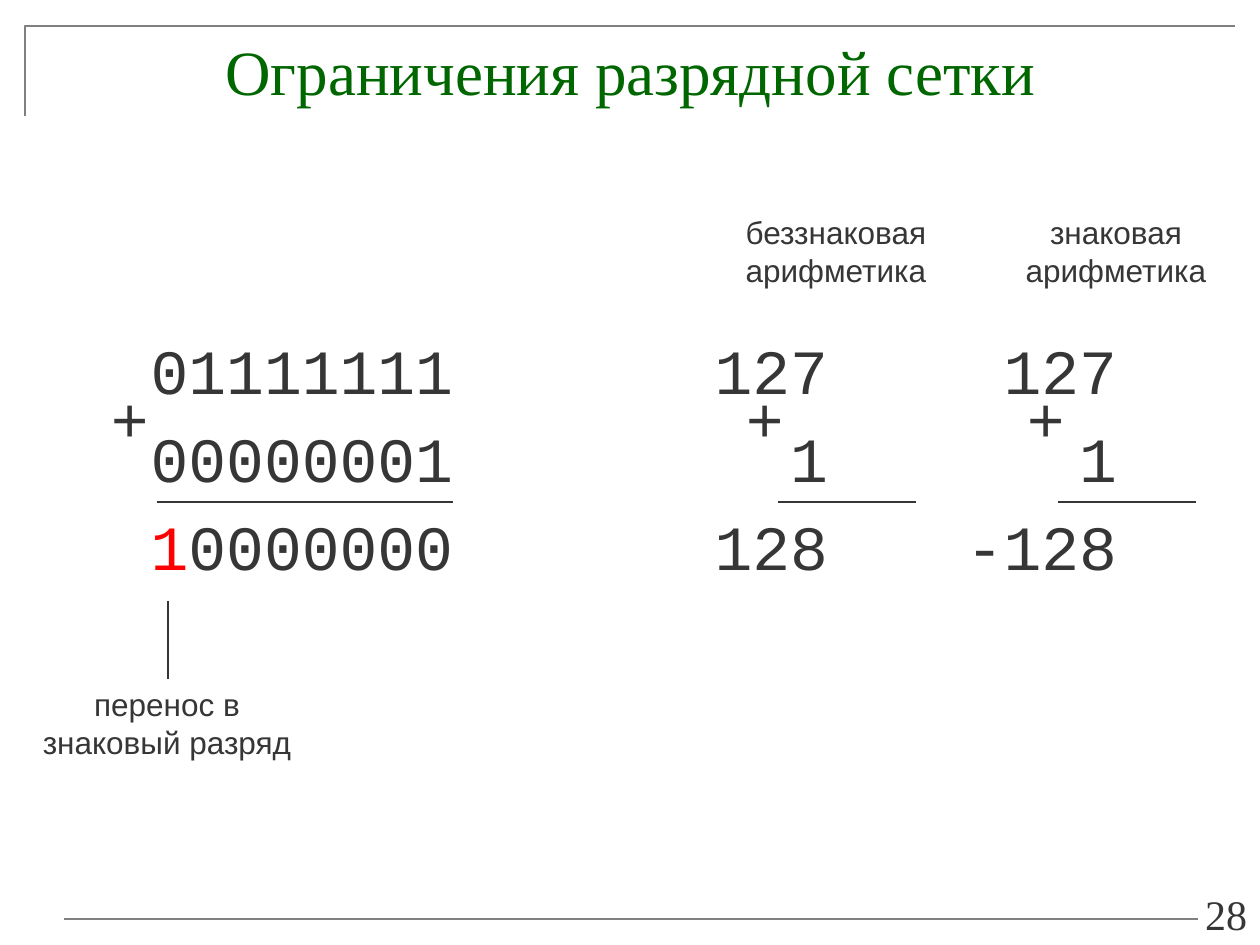
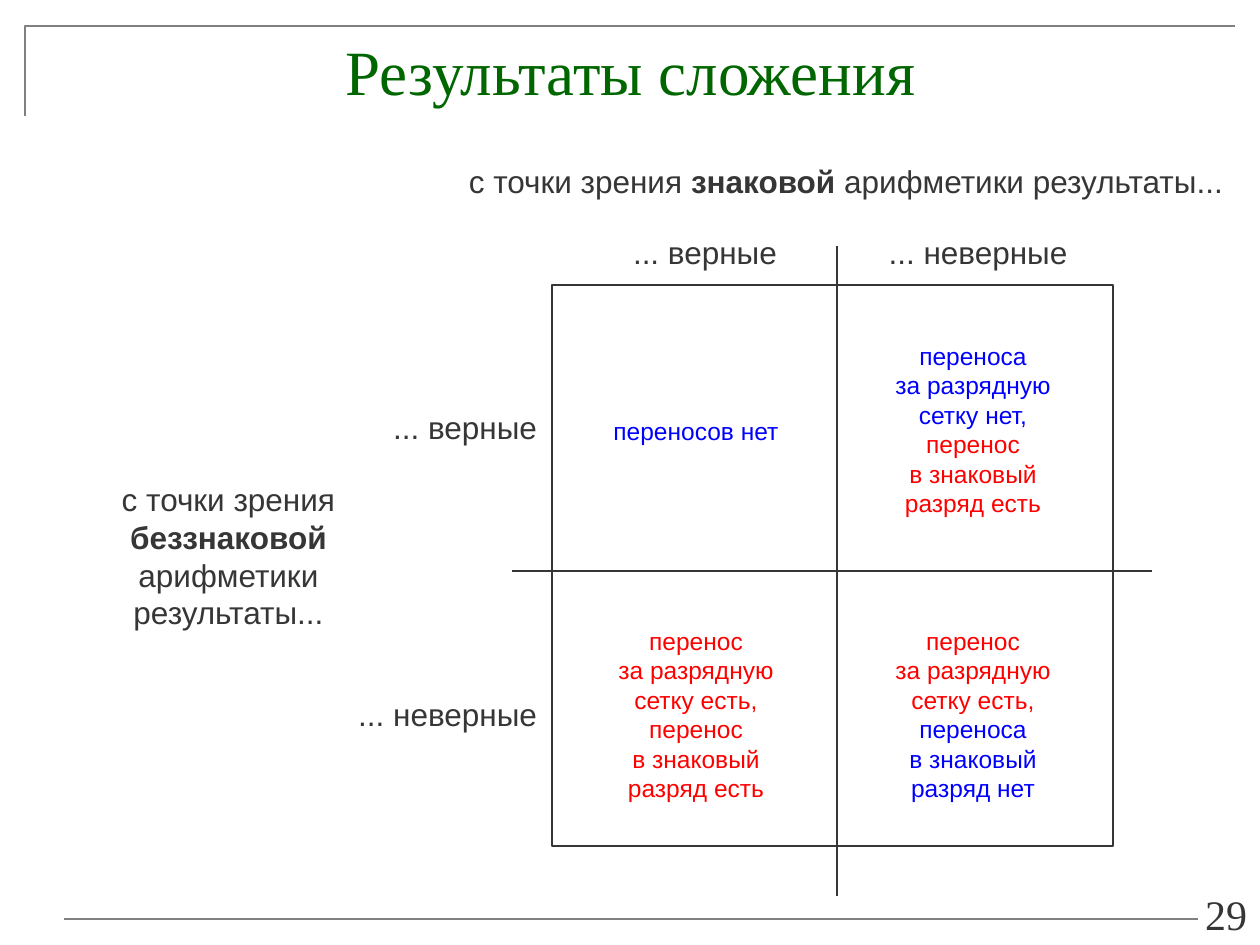
from pptx import Presentation
from pptx import util as u
from pptx.dml.color import RGBColor
from pptx.enum import shapes, text
from pptx.oxml.ns import qn
from lxml import etree

# Shared style
PX = 914400 // 126
INK, GREY, GREEN, RED, BLUE = "363636", "808080", "006600", "FF0000", "0000FF"
SANS, SERIF, MONO = "Arial", "Times New Roman", "Courier New"
LEFT, CENTER, RIGHT = text.PP_ALIGN.LEFT, text.PP_ALIGN.CENTER, text.PP_ALIGN.RIGHT

# Slide 28: sums as (right edge, rows, plus left, rule start, rule end)
LIMITS_TITLE = "Ограничения разрядной сетки"
SUMS = [
    (453, ["01111111", "00000001", [("1", RED, False), ("0000000", INK, False)]], 98, 157, 453),
    (828, ["127", "1", "128"], 733, 778, 916),
    (1117, ["127", "1", "-128"], 1014, 1058, 1196),
]
LIMITS_LABELS = [
    ((728, 207, 216, 89), ["беззнаковая", "арифметика"]),
    ((1012, 207, 208, 89), ["знаковая", "арифметика"]),
    ((29, 679, 276, 89), ["перенос в", "знаковый разряд"]),
]

# Slide 29: quadrants as (column, row, [(colour, lines)])
RESULTS_TITLE = "Результаты сложения"
VERDICTS = ["... верные", "... неверные"]
SIGNED = [[("с точки зрения ", INK, False), ("знаковой", INK, True),
           (" арифметики результаты...", INK, False)]]
UNSIGNED = ["с точки зрения", [("беззнаковой", INK, True)], "арифметики", "результаты..."]
QUADRANTS = [
    (0, 0, [(BLUE, ["переносов нет"])]),
    (1, 0, [(BLUE, ["переноса", "за разрядную", "сетку нет,"]),
            (RED, ["перенос", "в знаковый", "разряд есть"])]),
    (0, 1, [(RED, ["перенос", "за разрядную", "сетку есть,",
                   "перенос", "в знаковый", "разряд есть"])]),
    (1, 1, [(RED, ["перенос", "за разрядную", "сетку есть,"]),
            (BLUE, ["переноса", "в знаковый", "разряд нет"])]),
]


# Helpers
def rgb(value):
    return RGBColor.from_string(value)


def px(*values):
    return [v * PX for v in values]


def set_font(font, size, name, color):
    font.size, font.name = u.Pt(size), name
    font.color.rgb = rgb(color)


def add_text(s, box, paragraphs, size=18, name=SANS, align=CENTER,
             anchor=text.MSO_ANCHOR.TOP, gap=0, side=0, pad=6):
    """Each paragraph is a string or a list of (text, colour, bold) runs."""
    tf = s.shapes.add_textbox(*px(*box)).text_frame
    tf.word_wrap, tf.vertical_anchor = True, anchor
    tf.margin_left, tf.margin_right, tf.margin_top, tf.margin_bottom = px(side, side, pad, pad)
    for i, runs in enumerate(paragraphs):
        p = tf.paragraphs[0] if i == 0 else tf.add_paragraph()
        p.alignment = align
        if i and gap:
            p.space_before = u.Pt(gap)
        set_font(p.font, size, name, INK)
        for words, color, bold in [(runs, INK, False)] if isinstance(runs, str) else runs:
            r = p.add_run()
            r.text = words
            if color != INK:
                r.font.color.rgb = rgb(color)
            if bold:
                r.font.bold = True


def add_line(s, x1, y1, x2, y2, width=0.75, color=INK):
    line = s.shapes.add_connector(shapes.MSO_CONNECTOR.STRAIGHT, *px(x1, y1, x2, y2))
    line.line.width, line.line.color.rgb = u.Pt(width), rgb(color)
    etree.SubElement(line._element.spPr, qn("a:effectLst"))


def add_slide(prs, title, number):
    s = prs.slides.add_slide(prs.slide_layouts[5])
    # Corner frame and footer rule
    builder = s.shapes.build_freeform(25, 116, scale=PX)
    builder.add_line_segments([(25, 26), (1235, 26)], close=False)
    frame = builder.convert_to_shape()
    frame.fill.background()
    frame.line.width, frame.line.color.rgb = u.Pt(1.5), rgb(GREY)
    frame.shadow.inherit = False
    add_line(s, 64, 919, 1198, 919, 1.5, GREY)
    # Title and slide number
    sp = s.shapes.title
    sp.left, sp.top, sp.width, sp.height = px(25, 26, 1211, 169)
    tf = sp.text_frame
    tf.text, tf.vertical_anchor = title, text.MSO_ANCHOR.TOP
    tf.margin_top = 7 * PX
    p = tf.paragraphs[0]
    p.alignment = CENTER
    set_font(p.font, 36, SERIF, GREEN)
    add_text(s, (966, 890, 294, 55), [str(number)], 24, SERIF, RIGHT,
             text.MSO_ANCHOR.BOTTOM, side=13)
    return s


def build_limits(prs):
    s = add_slide(prs, LIMITS_TITLE, 28)
    for right, rows, plus, start, end in SUMS:
        add_text(s, (right - 320, 332, 320, 250), rows, 36, MONO, RIGHT, gap=7, pad=0)
        add_text(s, (plus, 374, 64, 89), ["+"], 36, MONO, LEFT, side=13)
        add_line(s, start, 502, end, 502, 1.5)
    add_line(s, 168, 601, 168, 679)
    for box, lines in LIMITS_LABELS:
        add_text(s, box, lines)


def build_results(prs):
    s = add_slide(prs, RESULTS_TITLE, 29)
    # Square split by two axes
    square = s.shapes.add_shape(shapes.MSO_SHAPE.RECTANGLE, *px(552, 285, 561, 561))
    square.fill.solid()
    square.fill.fore_color.rgb = rgb("FFFFFF")
    square.line.width, square.line.color.rgb = u.Pt(0.75), rgb(INK)
    square.shadow.inherit = False
    add_line(s, 837, 896, 837, 246)
    add_line(s, 512, 571, 1152, 571)
    # Headings of both axes
    add_text(s, (108, 474, 241, 165), UNSIGNED)
    add_text(s, (453, 156, 786, 50), SIGNED)
    for i, verdict in enumerate(VERDICTS):
        add_text(s, (602 + 273 * i, 227, 206, 50), [verdict])
        add_text(s, (332, 402 + 287 * i, 220, 50), [verdict], align=RIGHT, side=15)
    # Quadrant texts, centred on a 2 x 2 grid
    for col, row, parts in QUADRANTS:
        lines = [[(line, color, False)] for color, group in parts for line in group]
        height = 13 + 30 * len(lines)
        box = (599 + 277 * col, 431 + 285 * row - height // 2, 194, height)
        add_text(s, box, lines, 14)


def main():
    prs = Presentation()
    prs.slide_width, prs.slide_height = px(1260, 945)
    build_limits(prs)
    build_results(prs)
    prs.save("out.pptx")


if __name__ == "__main__":
    main()
